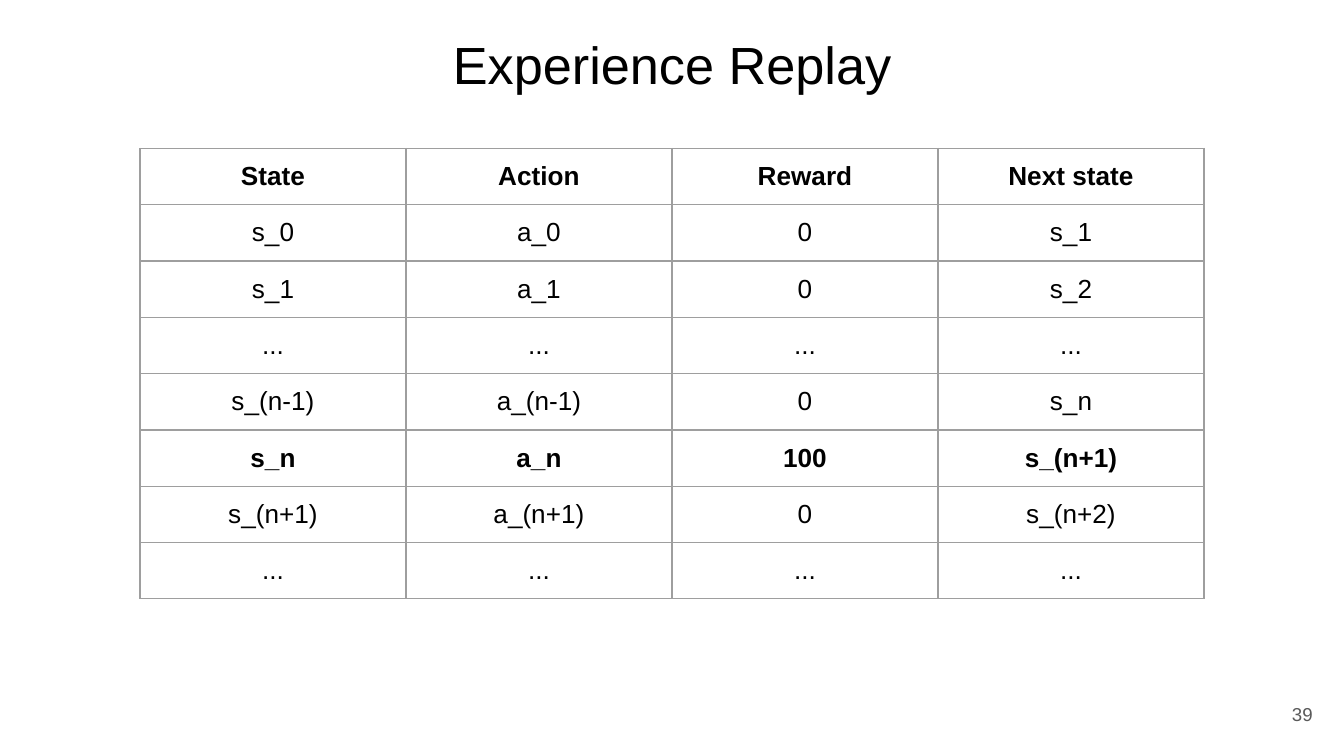
"""Build the Experience Replay slide with its transition table."""
import pptx
import pptx.dml.color
import pptx.enum.text
import pptx.oxml
import pptx.oxml.ns
import pptx.util

Pt = pptx.util.Pt
ALIGN = pptx.enum.text.PP_ALIGN
ANCHOR = pptx.enum.text.MSO_ANCHOR

TITLE = "Experience Replay"
PAGE_NUMBER = "39"
TRANSITIONS = [
    ("State", "Action", "Reward", "Next state"),
    ("s_0", "a_0", "0", "s_1"),
    ("s_1", "a_1", "0", "s_2"),
    ("...", "...", "...", "..."),
    ("s_(n-1)", "a_(n-1)", "0", "s_n"),
    ("s_n", "a_n", "100", "s_(n+1)"),
    ("s_(n+1)", "a_(n+1)", "0", "s_(n+2)"),
    ("...", "...", "...", "..."),
]
BOLD_ROWS = {0, 5}
SLIDE_WIDTH, SLIDE_HEIGHT = 720, 405
COLUMN_WIDTH, ROW_HEIGHT = 142.5, 30.1
TABLE_TOP = 79.5
INSET = 7.2
TEXT, GREY, BORDER = "000000", "595959", "9E9E9E"


def color(value):
    return pptx.dml.color.RGBColor.from_string(value)


def write(frame, text, size, align, shade=TEXT, bold=False):
    paragraph = frame.paragraphs[0]
    paragraph.alignment = align
    run = paragraph.add_run()
    run.text = text
    run.font.name = "Arial"
    run.font.size = Pt(size)
    run.font.bold = bold
    run.font.color.rgb = color(shade)


def set_insets(holder):
    holder.margin_left = holder.margin_right = Pt(INSET)
    holder.margin_top = holder.margin_bottom = Pt(INSET)


def add_borders(cell):
    properties = cell._tc.get_or_add_tcPr()
    for side in ("lnL", "lnR", "lnT", "lnB"):
        properties.append(pptx.oxml.parse_xml(
            f'<a:{side} {pptx.oxml.ns.nsdecls("a")} w="{Pt(0.75)}">'
            f'<a:solidFill><a:srgbClr val="{BORDER}"/></a:solidFill></a:{side}>'))


def place_text(shape, box, text, size, align, anchor, shade=TEXT):
    shape.left, shape.top, shape.width, shape.height = map(Pt, box)
    frame = shape.text_frame
    frame.word_wrap = True
    frame.auto_size = pptx.enum.text.MSO_AUTO_SIZE.NONE
    frame.vertical_anchor = anchor
    set_insets(frame)
    write(frame, text, size, align, shade)


def add_transitions(slide):
    rows, columns = len(TRANSITIONS), len(TRANSITIONS[0])
    width = columns * COLUMN_WIDTH
    table = slide.shapes.add_table(
        rows, columns, Pt((SLIDE_WIDTH - width) / 2), Pt(TABLE_TOP),
        Pt(width), Pt(rows * ROW_HEIGHT)).table
    table.first_row = table.horz_banding = False
    for column in table.columns:
        column.width = Pt(COLUMN_WIDTH)
    for row_index, values in enumerate(TRANSITIONS):
        table.rows[row_index].height = Pt(ROW_HEIGHT)
        for column_index, value in enumerate(values):
            cell = table.cell(row_index, column_index)
            set_insets(cell)
            add_borders(cell)
            cell.fill.background()
            write(cell.text_frame, value, 14, ALIGN.CENTER,
                  bold=row_index in BOLD_ROWS)


def main():
    deck = pptx.Presentation()
    deck.slide_width, deck.slide_height = Pt(SLIDE_WIDTH), Pt(SLIDE_HEIGHT)
    slide = deck.slides.add_slide(deck.slide_layouts[5])
    place_text(slide.shapes.title, (24.5, 10, 671, 49), TITLE, 28,
               ALIGN.CENTER, ANCHOR.TOP)
    add_transitions(slide)
    page = slide.shapes.add_textbox(0, 0, 0, 0)
    place_text(page, (667.1, 367.2, 43.2, 31), PAGE_NUMBER, 10,
               ALIGN.RIGHT, ANCHOR.MIDDLE, GREY)
    deck.save("out.pptx")


if __name__ == "__main__":
    main()
